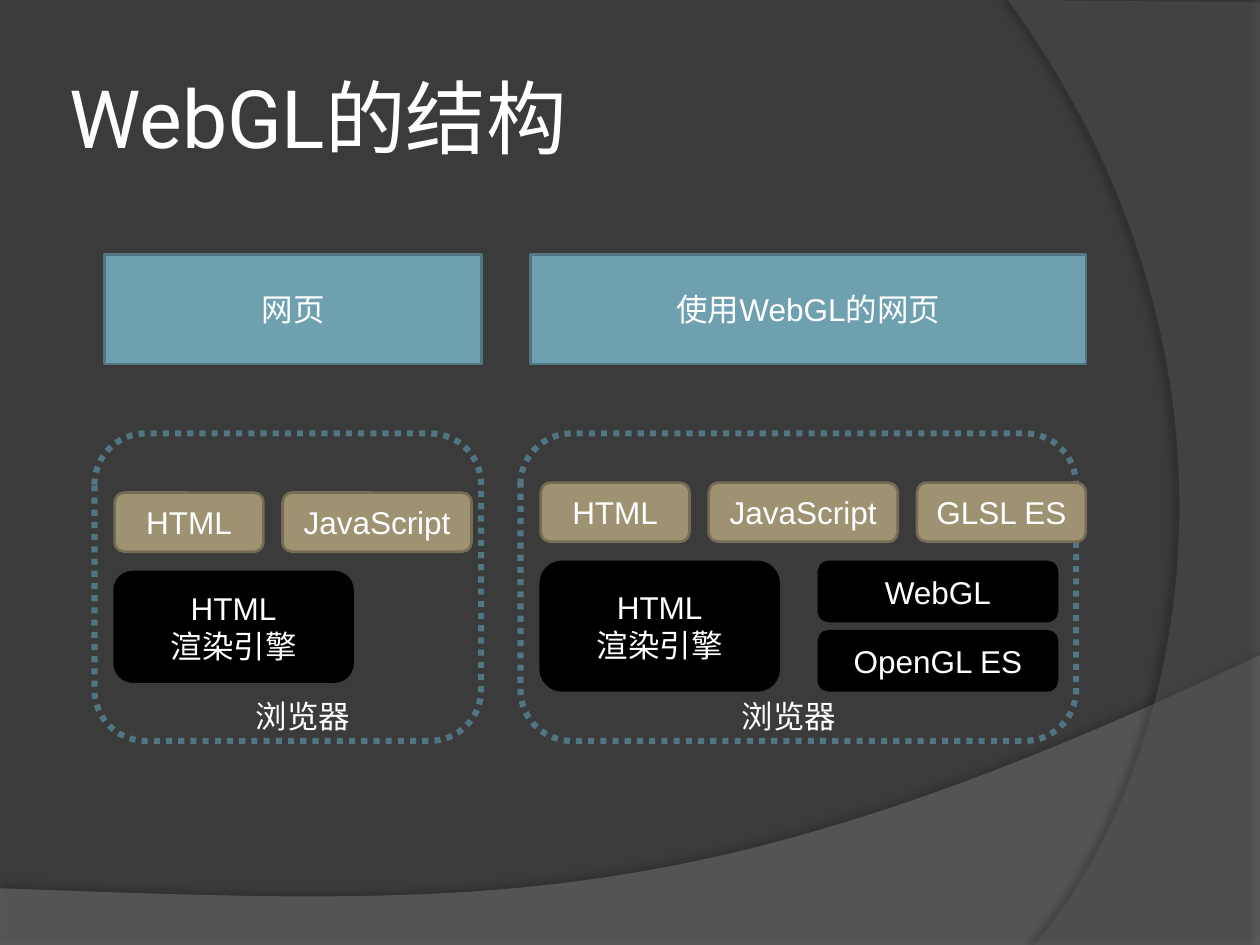
"""Build the slide on the structure of WebGL inside the browser."""
from dataclasses import dataclass
from typing import Optional

from lxml.etree import SubElement
from pptx import Presentation
from pptx.dml.color import RGBColor
from pptx.enum.dml import MSO_LINE
from pptx.enum.shapes import MSO_SHAPE
from pptx.enum.text import MSO_ANCHOR, PP_ALIGN
from pptx.oxml.ns import qn
from pptx.util import Pt

BACKGROUND = RGBColor(0x3B, 0x3B, 0x3B)
WHITE = RGBColor(0xFF, 0xFF, 0xFF)
BLACK = RGBColor(0x00, 0x00, 0x00)
TEAL = RGBColor(0x6E, 0xA0, 0xB0)
TEAL_EDGE = RGBColor(0x51, 0x76, 0x82)
SAND = RGBColor(0x9E, 0x92, 0x73)
SAND_EDGE = RGBColor(0x75, 0x6C, 0x55)
WAVE_GREY = RGBColor(0x7F, 0x7F, 0x7F)
ARC_GREY = RGBColor(0x5E, 0x5E, 0x5E)

CHIP_HEIGHT = 33.8
CHIP_GAP = 11
ENGINE_WIDTH = 136
CURVE_STEPS = 60

Point = tuple[float, float]


@dataclass(frozen=True)
class Style:
    fill: Optional[RGBColor]
    edge: RGBColor
    outline: MSO_SHAPE = MSO_SHAPE.ROUNDED_RECTANGLE
    weight: float = 1.5
    dash: Optional[MSO_LINE] = None


@dataclass(frozen=True)
class Box:
    left: float
    top: float
    width: float
    height: float
    text: str = ""


@dataclass(frozen=True)
class Stack:
    page: Box
    browser: Box
    chips_left: float
    chips_top: float
    chips: tuple[tuple[str, float], ...]
    engines: tuple[Box, ...]
    label_left: float


@dataclass(frozen=True)
class Swoosh:
    before: tuple[Point, ...]
    controls: tuple[Point, Point, Point]
    fill: RGBColor
    opacity: int
    shadow_opacity: int
    shadow_distance: float
    shadow_angle: int


PAGE = Style(TEAL, TEAL_EDGE, MSO_SHAPE.RECTANGLE)
BROWSER = Style(None, TEAL_EDGE, weight=3.5, dash=MSO_LINE.ROUND_DOT)
CHIP = Style(SAND, SAND_EDGE)
ENGINE = Style(BLACK, BLACK)

SWOOSHES = (
    Swoosh(((0, 507.6), (0, 540.7), (720, 540.7), (720, 374.4)),
           ((402.5, 524.9), (281.5, 517.7), (0, 507.6)),
           WAVE_GREY, 45, 35, 3.5, 270),
    Swoosh(((720, 1.4), (720, 540), (591.1, 540)),
           ((673.2, 445.7), (733, 216), (576, 0)),
           ARC_GREY, 40, 45, 4, 180),
)

STACKS = (
    Stack(
        page=Box(59.8, 145.4, 215.3, 62.6, "网页"),
        browser=Box(54, 247.7, 221, 175.7),
        chips_left=65.5, chips_top=281.5,
        chips=(("HTML", 85), ("JavaScript", 108)),
        engines=(Box(65.5, 326.9, ENGINE_WIDTH, 62.6, "HTML\n渲染引擎"),),
        label_left=139,
    ),
    Stack(
        page=Box(303.1, 145.4, 317.5, 62.6, "使用WebGL的网页"),
        browser=Box(297.4, 247.7, 317.5, 175.7),
        chips_left=309, chips_top=275.8,
        chips=(("HTML", 85), ("JavaScript", 108), ("GLSL ES", 96.5)),
        engines=(
            Box(309, 321.1, ENGINE_WIDTH, 73.4, "HTML\n渲染引擎"),
            Box(468, 321.1, ENGINE_WIDTH, CHIP_HEIGHT, "WebGL"),
            Box(468, 360.7, ENGINE_WIDTH, CHIP_HEIGHT, "OpenGL ES"),
        ),
        label_left=416.9,
    ),
)


def write(shape, text: str, size: float, font: str, align: PP_ALIGN) -> None:
    """Fill a shape with paragraphs of white text."""
    shape.text_frame.text = text
    for paragraph in shape.text_frame.paragraphs:
        paragraph.alignment = align
        paragraph.font.size = Pt(size)
        paragraph.font.name = font
        paragraph.font.color.rgb = WHITE
        for run in paragraph.runs:
            SubElement(run._r.get_or_add_rPr(), qn("a:ea"), typeface=font)


def add_box(slide, box: Box, style: Style) -> None:
    """Draw one preset box with centred text."""
    shape = slide.shapes.add_shape(
        style.outline, Pt(box.left), Pt(box.top), Pt(box.width), Pt(box.height))
    shape.shadow.inherit = False
    if style.fill is None:
        shape.fill.background()
    else:
        shape.fill.solid()
        shape.fill.fore_color.rgb = style.fill
    shape.line.color.rgb = style.edge
    shape.line.width = Pt(style.weight)
    if style.dash is not None:
        shape.line.dash_style = style.dash
    if box.text:
        shape.text_frame.vertical_anchor = MSO_ANCHOR.MIDDLE
        write(shape, box.text, 18, "Arial", PP_ALIGN.CENTER)


def add_text(slide, box: Box, size: float, font: str, wrap: bool):
    """Draw left-aligned text without a frame."""
    textbox = slide.shapes.add_textbox(
        Pt(box.left), Pt(box.top), Pt(box.width), Pt(box.height))
    textbox.text_frame.word_wrap = wrap
    write(textbox, box.text, size, font, PP_ALIGN.LEFT)
    return textbox


def curve(start: Point, controls: tuple[Point, Point, Point]) -> list[Point]:
    """Sample a cubic curve after its start."""
    samples = []
    for step in range(1, CURVE_STEPS + 1):
        t = step / CURVE_STEPS
        weights = ((1 - t) ** 3, 3 * t * (1 - t) ** 2, 3 * t * t * (1 - t), t ** 3)
        samples.append(tuple(
            sum(w * p[axis] for w, p in zip(weights, (start, *controls)))
            for axis in (0, 1)))
    return samples


def add_swoosh(slide, swoosh: Swoosh) -> None:
    """Draw a translucent background sweep with a soft shadow."""
    points = [*swoosh.before, *curve(swoosh.before[-1], swoosh.controls)]
    corners = [(Pt(x), Pt(y)) for x, y in points]
    builder = slide.shapes.build_freeform(*corners[0])
    builder.add_line_segments(corners[1:], close=True)
    shape = builder.convert_to_shape()
    shape.fill.solid()
    shape.fill.fore_color.rgb = swoosh.fill
    shape.line.fill.background()
    shape.shadow.inherit = False
    properties = shape._element.spPr
    fill_color = properties.find(qn("a:solidFill")).find(qn("a:srgbClr"))
    SubElement(fill_color, qn("a:alpha"), val=str(swoosh.opacity * 1000))
    shadow = SubElement(
        properties.find(qn("a:effectLst")), qn("a:outerShdw"),
        blurRad=str(Pt(4)), dist=str(Pt(swoosh.shadow_distance)),
        dir=str(swoosh.shadow_angle * 60000), rotWithShape="0")
    shadow_color = SubElement(shadow, qn("a:srgbClr"), val=str(BLACK))
    SubElement(shadow_color, qn("a:alpha"), val=str(swoosh.shadow_opacity * 1000))


def add_stack(slide, stack: Stack) -> None:
    """Draw a page above its browser and the browser's parts."""
    add_box(slide, stack.page, PAGE)
    add_box(slide, stack.browser, BROWSER)
    left = stack.chips_left
    for name, width in stack.chips:
        add_box(slide, Box(left, stack.chips_top, width, CHIP_HEIGHT, name), CHIP)
        left += width + CHIP_GAP
    for engine in stack.engines:
        add_box(slide, engine, ENGINE)
    add_text(slide, Box(stack.label_left, 394.6, 69, 28.8, "浏览器"), 18, "Arial", False)


def main() -> None:
    """Build and save the slide."""
    presentation = Presentation()
    presentation.slide_width, presentation.slide_height = Pt(720), Pt(540)
    slide = presentation.slides.add_slide(presentation.slide_layouts[6])
    slide.background.fill.solid()
    slide.background.fill.fore_color.rgb = BACKGROUND
    for swoosh in SWOOSHES:
        add_swoosh(slide, swoosh)
    title = add_text(slide, Box(36, 21.6, 588.2, 90, "WebGL的结构"), 46, "Roboto", True)
    title.text_frame.vertical_anchor = MSO_ANCHOR.MIDDLE
    title.text_frame.margin_left = title.text_frame.margin_right = Pt(3.6)
    for stack in STACKS:
        add_stack(slide, stack)
    presentation.save("out.pptx")


if __name__ == "__main__":
    main()
